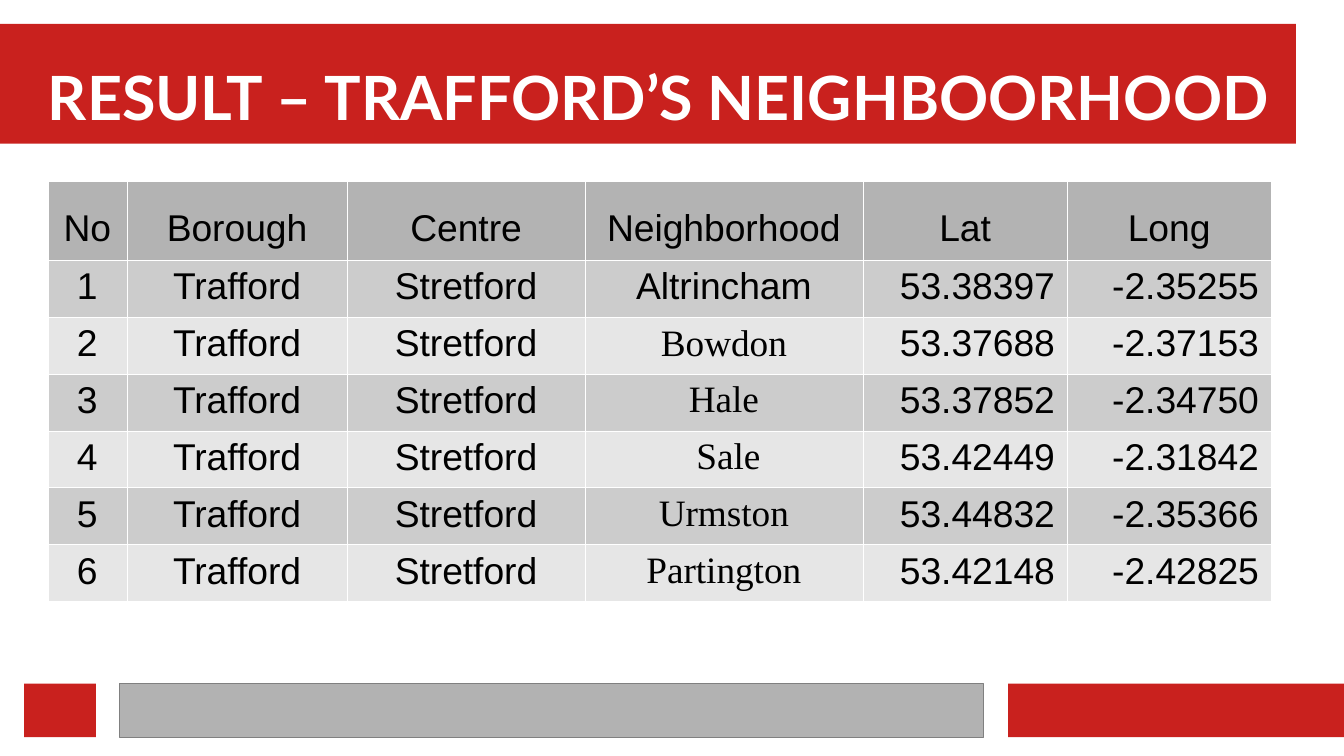
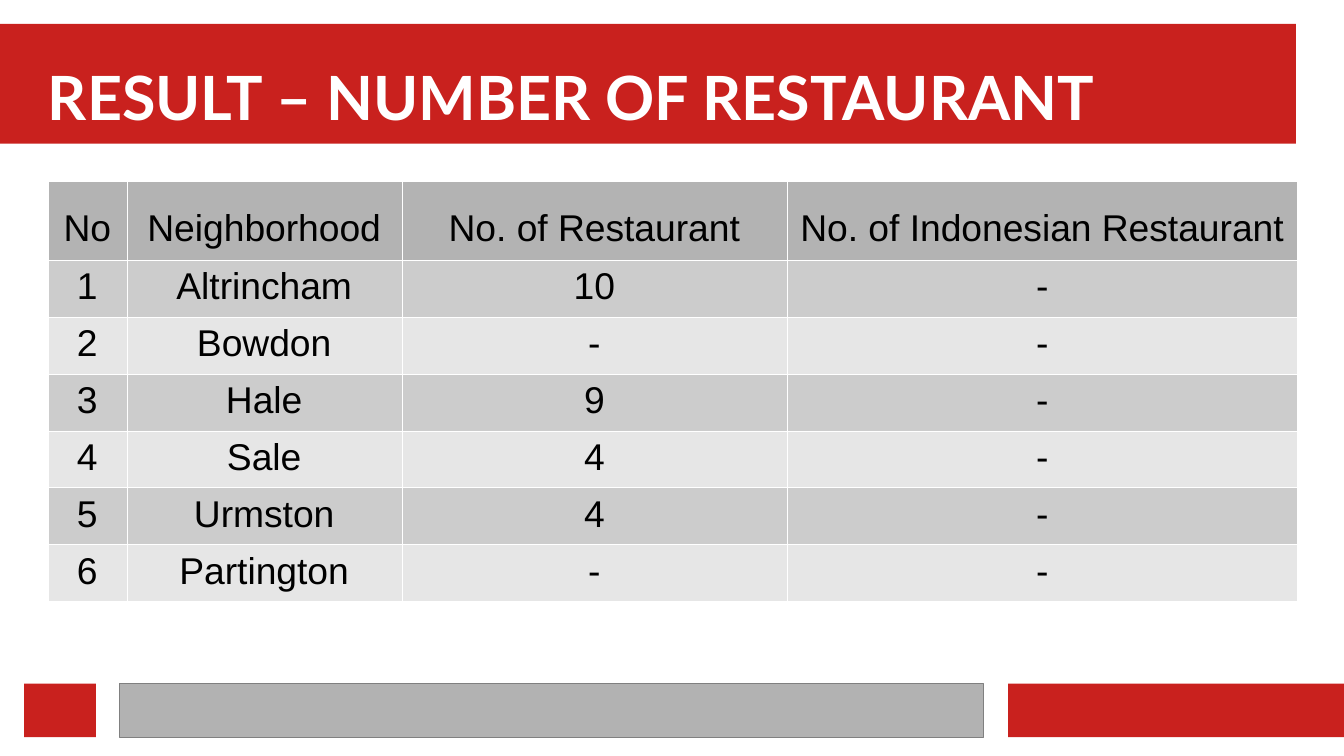
"""Build two result slides, each a banded table under a red title band."""
from lxml.etree import SubElement
from pptx import Presentation
from pptx.dml.color import RGBColor
from pptx.enum.shapes import MSO_SHAPE
from pptx.enum.text import MSO_ANCHOR, PP_ALIGN
from pptx.oxml.ns import qn
from pptx.util import Pt

COLORS = {
    "red": "C9211E", "gray": "B2B2B2", "edge": "808080",
    "head": "B3B3B3", "odd": "CCCCCC", "even": "E6E6E6",
    "white": "FFFFFF", "black": "000000",
}
WIDE, HIGH = 793.7, 446.5
LEFT, TOP = 28.3, 106.7
HEAD, ROW = 43.7, 31.75
FOOT, THICK = 403.8, 31.7

BANDS = [
    (0, 14.2, 765.4, 70.7, "red", None),
    (595.3, FOOT, 198.4, THICK, "red", None),
    (70.7, FOOT, 510.3, THICK, "gray", "edge"),
    (14.2, FOOT, 42.5, THICK, "red", None),
]

PLACES = [
    ("Altrincham", "53.38397", "-2.35255"),
    ("Bowdon", "53.37688", "-2.37153"),
    ("Hale", "53.37852", "-2.34750"),
    (" Sale", "53.42449", "-2.31842"),
    ("Urmston", "53.44832", "-2.35366"),
    ("Partington", "53.42148", "-2.42825"),
]
COUNTS = ["10", "-", "9", "4", "4", "-"]

SLIDES = [
    {
        "title": "RESULT – TRAFFORD’S NEIGHBOORHOOD",
        "cols": [46.5, 130.5, 140, 164.5, 120.5, 120.5],
        "head": ["No", "Borough", "Centre", "Neighborhood", "Lat", "Long"],
        "rows": [(str(num), "Trafford", "Stretford", *place)
                 for num, place in enumerate(PLACES, 1)],
        "right": {4, 5},
        "serif": {(row, 3) for row in range(2, 7)},
    },
    {
        "title": "RESULT – NUMBER OF RESTAURANT",
        "cols": [46.5, 162.5, 227.5, 301.5],
        "head": ["No", "Neighborhood", "No. of Restaurant",
                 "No. of Indonesian Restaurant"],
        "rows": [(str(num), place[0].strip(), count, "-")
                 for num, (place, count) in enumerate(zip(PLACES, COUNTS), 1)],
        "right": set(),
        "serif": set(),
    },
]


def color(name):
    return RGBColor.from_string(COLORS[name])


def paint(item, name):
    item.fill.solid()
    item.fill.fore_color.rgb = color(name)


def style(para, face, size, tint, bold=False):
    for run in para.runs:
        font = run.font
        font.name, font.size, font.bold = face, Pt(size), bold
        font.color.rgb = color(tint)


def add_bands(slide):
    for left, top, width, height, fill, edge in BANDS:
        band = slide.shapes.add_shape(
            MSO_SHAPE.RECTANGLE, Pt(left), Pt(top), Pt(width), Pt(height))
        band.shadow.inherit = False
        paint(band, fill)
        if edge:
            band.line.color.rgb = color(edge)
            band.line.width = Pt(0.75)
        else:
            band.line.fill.background()


def add_title(slide, text):
    box = slide.shapes.add_textbox(Pt(LEFT), Pt(21.6), Pt(737), Pt(56.9))
    frame = box.text_frame
    frame.word_wrap = True
    frame.vertical_anchor = MSO_ANCHOR.BOTTOM
    frame.margin_left = frame.margin_right = 0
    frame.margin_top = frame.margin_bottom = 0
    frame.text = text
    style(frame.paragraphs[0], "Lato", 36, "white", True)


def add_border(cell):
    props = cell._tc.get_or_add_tcPr()
    for side in ("a:lnL", "a:lnR", "a:lnT", "a:lnB"):
        line = SubElement(props, qn(side), w=str(Pt(0.06)))
        fill = SubElement(line, qn("a:solidFill"))
        SubElement(fill, qn("a:srgbClr"), val=COLORS["white"])


def add_grid(slide, data):
    rows = [data["head"], *data["rows"]]
    cols = data["cols"]
    highs = [HEAD] + [ROW] * len(data["rows"])
    grid = slide.shapes.add_table(
        len(rows), len(cols), Pt(LEFT), Pt(TOP),
        Pt(sum(cols)), Pt(sum(highs))).table
    grid.first_row = grid.horz_banding = False
    for col, width in zip(grid.columns, cols):
        col.width = Pt(width)
    for row, height in zip(grid.rows, highs):
        row.height = Pt(height)
    for r, texts in enumerate(rows):
        fill = "head" if r == 0 else "odd" if r % 2 else "even"
        for c, text in enumerate(texts):
            cell = grid.cell(r, c)
            add_border(cell)
            paint(cell, fill)
            cell.text_frame.text = text
            para = cell.text_frame.paragraphs[0]
            right = r > 0 and c in data["right"]
            para.alignment = PP_ALIGN.RIGHT if right else PP_ALIGN.CENTER
            if r == 0:
                para.line_spacing = 1.5
            face = "Times New Roman" if (r, c) in data["serif"] else "Arial"
            style(para, face, 22, "black")


def main():
    deck = Presentation()
    deck.slide_width, deck.slide_height = Pt(WIDE), Pt(HIGH)
    for data in SLIDES:
        slide = deck.slides.add_slide(deck.slide_layouts[6])
        add_bands(slide)
        add_title(slide, data["title"])
        add_grid(slide, data)
    deck.save("out.pptx")


if __name__ == "__main__":
    main()
